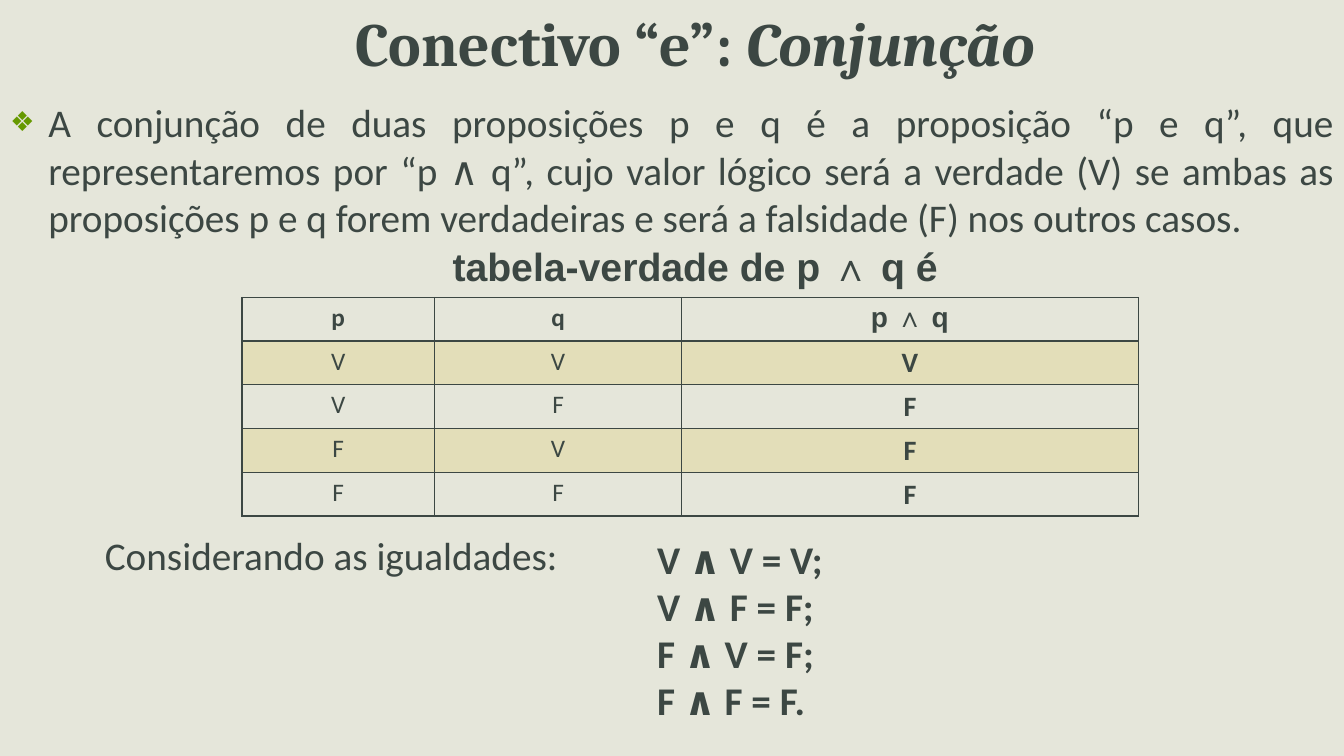
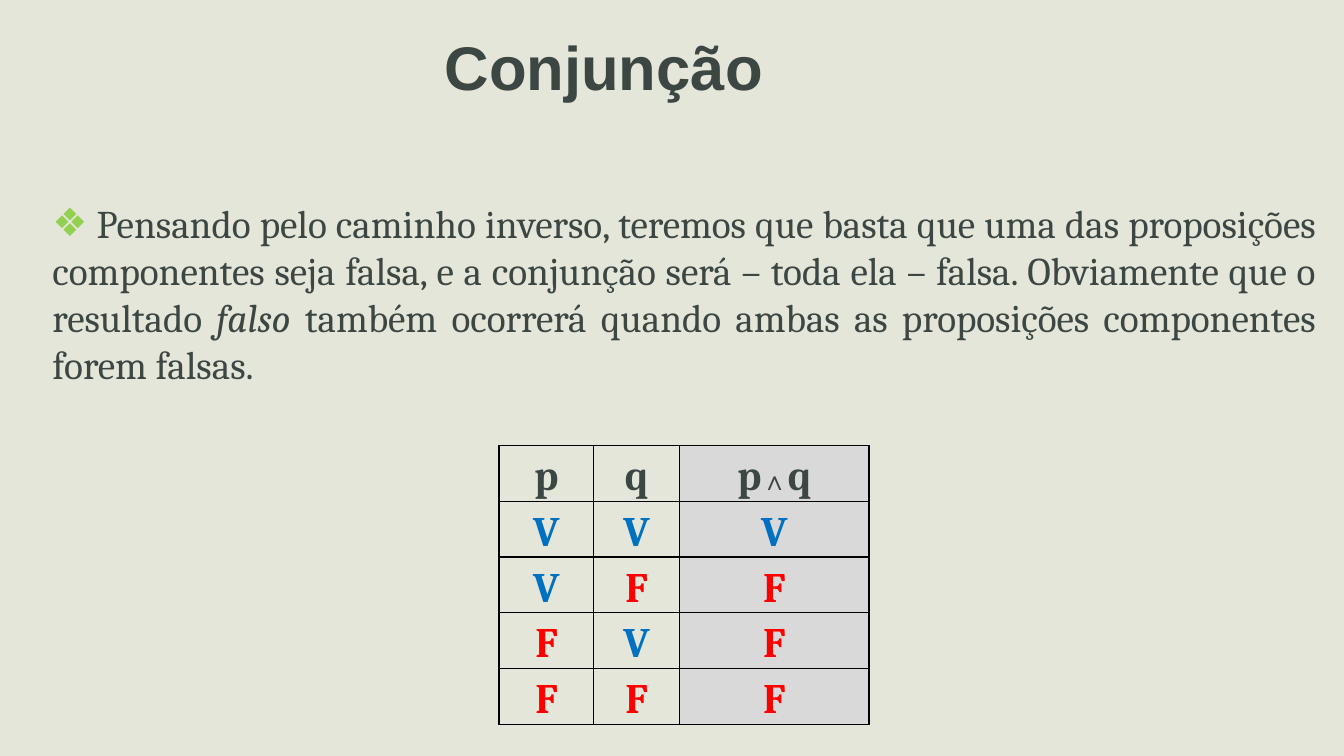
import lxml.etree
import pptx
import pptx.dml.color
import pptx.enum.text
import pptx.oxml.ns
import pptx.util

Inches = pptx.util.Inches
Pt = pptx.util.Pt
qn = pptx.oxml.ns.qn
ALIGN = pptx.enum.text.PP_ALIGN
ANCHOR = pptx.enum.text.MSO_ANCHOR

COLORS = {
    "back": "E5E6DA",
    "text": "3C4743",
    "band": "DDC237",
    "gray": "D9D9D9",
    "line": "000000",
    "true": "0070C0",
    "false": "FF0000",
    "olive": "669900",
    "lime": "92D050",
}
TRUTH = ["VVV", "VFF", "FVF", "FFF"]
ITALIC = {"italic": True}


def rgb(name):
    return pptx.dml.color.RGBColor.from_string(COLORS[name])


def node(parent, tag, **attrs):
    return lxml.etree.SubElement(parent, qn(tag), attrs)


def write(par, runs, face, size, bold=False, color="text", align=ALIGN.LEFT):
    """Fill a paragraph; a run is a string or a (string, font settings) pair."""
    par.alignment = align
    font = par.font
    font.name, font.size, font.bold = face, Pt(size), bold
    font.color.rgb = rgb(color)
    for item in runs:
        text, extra = (item, {}) if isinstance(item, str) else item
        run = par.add_run()
        run.text = text
        for key, value in extra.items():
            setattr(run.font, key, value)


def place(shape, box):
    shape.left, shape.top, shape.width, shape.height = map(Inches, box)


def add_title(slide, box, runs, face):
    title = slide.shapes.title
    place(title, box)
    frame = title.text_frame
    frame.auto_size = pptx.enum.text.MSO_AUTO_SIZE.NONE
    frame.vertical_anchor = ANCHOR.MIDDLE
    par = frame.paragraphs[0]
    par.line_spacing = 0.9
    write(par, runs, face, 44, bold=True, align=ALIGN.CENTER)


def add_body(slide, box, runs, face, color, scale=100, hang=0):
    """Place the bulleted paragraph; scale is the bullet size in percent."""
    body = slide.placeholders[1]
    place(body, box)
    frame = body.text_frame
    frame.auto_size = pptx.enum.text.MSO_AUTO_SIZE.NONE
    par = frame.paragraphs[0]
    par.space_before = Pt(0)
    props = par._p.get_or_add_pPr()
    props.set("marL", str(Inches(hang)))
    props.set("indent", str(-Inches(hang)))
    node(node(props, "a:buClr"), "a:srgbClr", val=COLORS[color])
    node(props, "a:buSzPct", val=str(scale * 1000))
    node(props, "a:buChar", char="❖")
    write(par, runs, face, 28, align=ALIGN.JUSTIFY)


def add_note(slide, box, lines, face, bold=False, align=ALIGN.LEFT):
    frame = slide.shapes.add_textbox(*map(Inches, box)).text_frame
    frame.word_wrap = True
    for i, line in enumerate(lines):
        par = frame.add_paragraph() if i else frame.paragraphs[0]
        write(par, [line], face, 28, bold, align=align)


def add_grid(slide, left, top, cols, height, rows):
    """Add an unstyled table and return it."""
    shape = slide.shapes.add_table(
        rows, len(cols), Inches(left), Inches(top),
        Inches(sum(cols)), Inches(height * rows))
    table = shape.table
    table.first_row = table.horz_banding = False
    for col, width in zip(table.columns, cols):
        col.width = Inches(width)
    return table


def frame_cell(cell, line, fill=None, alpha=100):
    props = cell._tc.get_or_add_tcPr()
    for side in "LRTB":
        edge = node(props, "a:ln" + side, w=str(Pt(1)))
        node(node(edge, "a:solidFill"), "a:srgbClr", val=COLORS[line])
    if not fill:
        cell.fill.background()
        return
    cell.fill.solid()
    cell.fill.fore_color.rgb = rgb(fill)
    if alpha < 100:
        tint = props.find(".//" + qn("a:solidFill") + "[last()]")
        tint = props.find(qn("a:solidFill"))
        node(tint[0], "a:alpha", val=str(alpha * 1000))


def add_banded(slide, left, top):
    rows = [["p", "q", "p ∧ q"], *TRUTH]
    table = add_grid(slide, left, top, [1.91, 2.45, 4.53], 0.434, len(rows))
    for i, row in enumerate(rows):
        for j, text in enumerate(row):
            cell, last = table.cell(i, j), j == 2
            frame_cell(cell, "text", "band" if i % 2 else None, 20)
            write(cell.text_frame.paragraphs[0], [text],
                  "Arial" if last and i == 0 else "Calibri",
                  20 if last else 18, bold=last or i == 0,
                  align=ALIGN.CENTER)


def add_colored(slide, left, top):
    wedge = ("∧", {"name": "Arial", "size": Pt(19), "bold": False})
    rows = [[["p"], ["q"], ["p", wedge, "q"]], *TRUTH]
    tones = {"V": "true", "F": "false"}
    table = add_grid(slide, left, top, [0.94, 0.85, 1.88], 0.55, len(rows))
    for i, row in enumerate(rows):
        for j, runs in enumerate(row):
            cell = table.cell(i, j)
            cell.margin_left = cell.margin_right = Inches(0.07)
            cell.margin_top = cell.margin_bottom = 0
            frame_cell(cell, "line", "gray" if j == 2 else None)
            par = cell.text_frame.paragraphs[0]
            par.line_spacing = 1.15
            write(par, runs, "Cambria", 30, bold=True,
                  color=tones[runs] if i else "text", align=ALIGN.CENTER)


def define_slide(deck):
    slide = deck.slides.add_slide(deck.slide_layouts[1])
    add_title(slide, (2.4, 0, 9, 0.93),
              ["Conectivo “e”: ", ("Conjunção", ITALIC)], "Cambria")
    add_body(slide, (0, 0.93, 13.33, 4.95), [
        "A conjunção de duas proposições p e q é a proposição “p e q”, que "
        "representaremos por “p ∧ q”, cujo valor lógico será a verdade (V) "
        "se ambas as proposições p e q forem verdadeiras e será a falsidade "
        "(F) nos outros casos."], "Calibri", "olive", scale=70, hang=0.38)
    add_note(slide, (3.51, 2.35, 6.77, 0.57), ["tabela-verdade de p ∧ q é"],
             "Arial", bold=True, align=ALIGN.CENTER)
    add_banded(slide, 2.4, 2.95)
    add_note(slide, (-0.1, 5.22, 6.77, 0.57), ["Considerando as igualdades:"],
             "Calibri", align=ALIGN.CENTER)
    ends = [";"] * (len(TRUTH) - 1) + ["."]
    sums = [f"{p} ∧ {q} = {r}{end}" for (p, q, r), end in zip(TRUTH, ends)]
    add_note(slide, (6.42, 5.26, 1.92, 1.99), sums, "Calibri", bold=True)


def inverse_slide(deck):
    slide = deck.slides.add_slide(deck.slide_layouts[1])
    add_title(slide, (1.49, 0.23, 9, 0.93), ["Conjunção"], "Arial")
    add_body(slide, (0.42, 1.93, 12.73, 4.97), [
        " Pensando pelo caminho inverso, teremos que basta que uma das "
        "proposições componentes seja falsa, e a conjunção será – toda ela – "
        "falsa. Obviamente que o resultado ",
        ("falso ", ITALIC),
        "também ocorrerá quando ambas as proposições componentes forem "
        "falsas."], "Cambria", "lime")
    add_colored(slide, 4.95, 4.42)


def main():
    deck = pptx.Presentation()
    deck.slide_width, deck.slide_height = Inches(13.33), Inches(7.5)
    back = deck.slide_master.background.fill
    back.solid()
    back.fore_color.rgb = rgb("back")
    define_slide(deck)
    inverse_slide(deck)
    deck.save("out.pptx")


if __name__ == "__main__":
    main()
